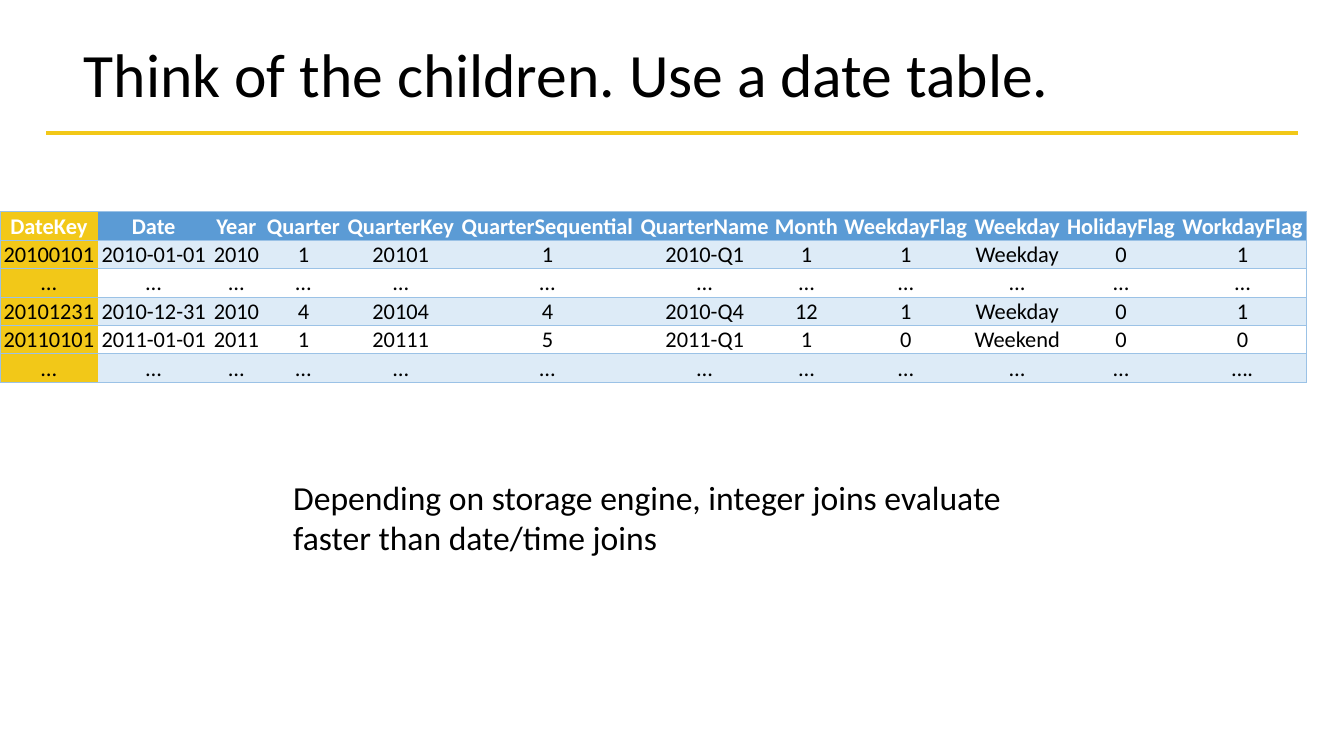
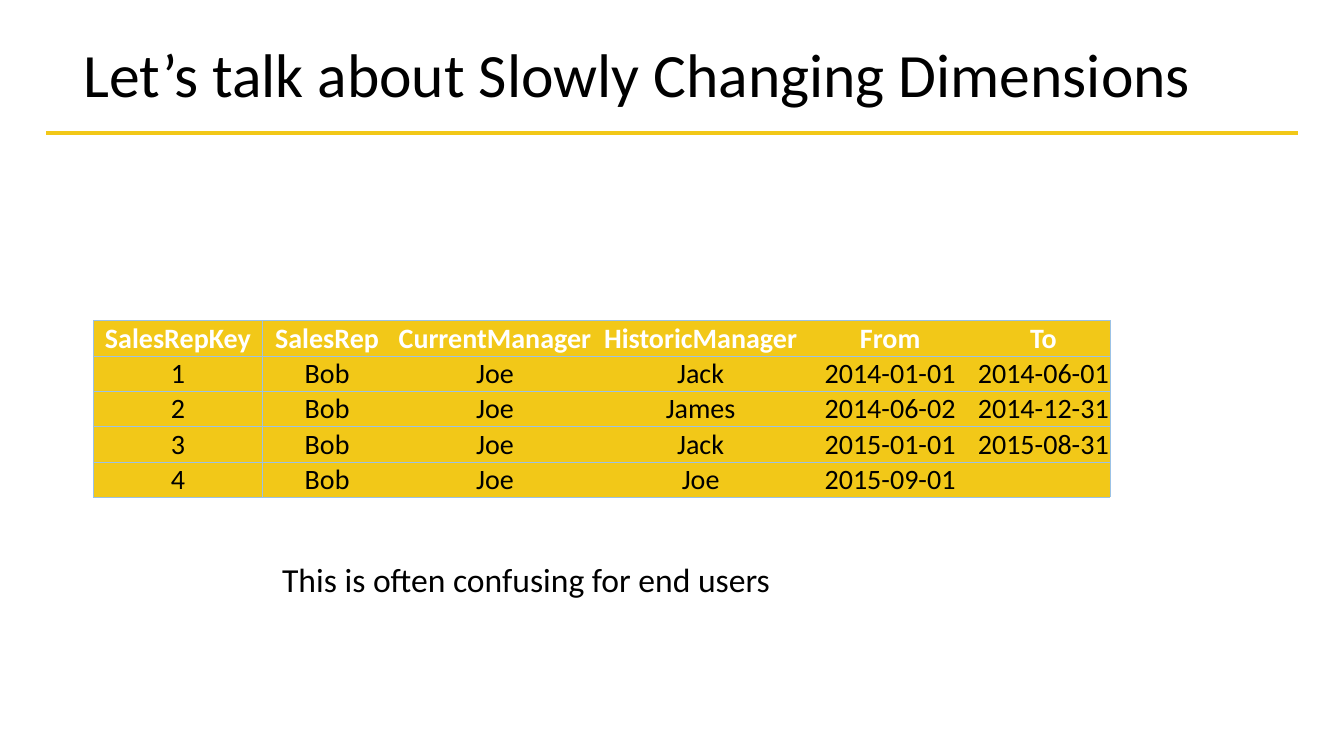
from dataclasses import dataclass

from lxml import etree
from pptx import Presentation
from pptx import util as u
from pptx.dml.color import RGBColor
from pptx.enum import shapes, text
from pptx.oxml import ns


@dataclass(frozen=True)
class Theme:
    font: str = "Calibri"
    ink: str = "000000"
    paper: str = "FFFFFF"
    gold: str = "F2C818"
    blue: str = "5B9BD5"
    pale: str = "DDEBF7"
    border: str = "9BC2E6"
    title_size: int = 44
    note_size: int = 24
    no_table_style: str = "{2D5ABB26-0587-4C30-8999-92F81FD0307C}"


class DeckBuilder:
    """Holds the theme and the current slide, and adds each kind of element."""

    def __init__(self, theme):
        self.theme = theme
        self.deck = Presentation()
        self.deck.slide_width = u.Inches(13.33)
        self.deck.slide_height = u.Inches(7.5)
        self.layout = self.deck.slide_layouts.get_by_name("Title Only")
        self.slide = None

    def format_font(self, font, size, color, bold=False):
        font.name = self.theme.font
        font.size = u.Pt(size)
        font.bold = bold
        font.color.rgb = RGBColor.from_string(color)

    def add_slide(self, title):
        self.slide = self.deck.slides.add_slide(self.layout)
        self.add_rule()
        box = self.slide.shapes.title
        box.left, box.top = u.Inches(0.73), u.Inches(0.22)
        box.width, box.height = u.Inches(11.89), u.Inches(1.1)
        frame = box.text_frame
        frame.text = title
        frame.vertical_anchor = text.MSO_ANCHOR.MIDDLE
        frame.auto_size = text.MSO_AUTO_SIZE.NONE
        para = frame.paragraphs[0]
        para.alignment = text.PP_ALIGN.LEFT
        para.line_spacing = 0.9
        self.format_font(para.runs[0].font, self.theme.title_size, self.theme.ink)

    def add_rule(self):
        rule = self.slide.shapes.add_connector(
            shapes.MSO_CONNECTOR.STRAIGHT,
            u.Inches(0.46), u.Inches(1.32), u.Inches(12.87), u.Inches(1.32))
        rule.line.color.rgb = RGBColor.from_string(self.theme.gold)
        rule.line.width = u.Pt(2.25)
        etree.SubElement(rule.element.spPr, ns.qn("a:effectLst"))

    def add_note(self, words, left, top, height):
        box = self.slide.shapes.add_textbox(
            u.Inches(left), u.Inches(top), u.Inches(7.7), u.Inches(height))
        box.text_frame.word_wrap = True
        box.text_frame.text = words
        span = box.text_frame.paragraphs[0].runs[0]
        self.format_font(span.font, self.theme.note_size, self.theme.ink)

    def add_borders(self, cell, sides):
        properties = cell._tc.get_or_add_tcPr()
        for side in "LRTB":
            line = etree.SubElement(properties, ns.qn(f"a:ln{side}"), w=str(u.Pt(0.5)))
            if side in sides:
                fill = etree.SubElement(line, ns.qn("a:solidFill"))
                etree.SubElement(fill, ns.qn("a:srgbClr"), val=self.theme.border)
            else:
                etree.SubElement(line, ns.qn("a:noFill"))

    def add_table(self, rows, widths, left, top, row_height, size, fill_rule, key_divider=False):
        frame = self.slide.shapes.add_table(
            len(rows), len(widths), u.Inches(left), u.Inches(top),
            u.Inches(sum(widths)), u.Inches(row_height * len(rows)))
        next(frame.element.iter(ns.qn("a:tableStyleId"))).text = self.theme.no_table_style
        table = frame.table
        table.horz_banding = False
        for column, width in zip(table.columns, widths):
            column.width = u.Inches(width)
        last = len(widths) - 1
        for r, values in enumerate(rows):
            table.rows[r].height = u.Inches(row_height)
            for c, value in enumerate(values):
                sides = "TB"
                if c == 0 or (key_divider and c == 1):
                    sides += "L"
                if c == last or (key_divider and c == 0):
                    sides += "R"
                cell = table.cell(r, c)
                self.add_borders(cell, sides)
                self.fill_cell(cell, value, size, fill_rule(r, c), header=r == 0)

    def fill_cell(self, cell, value, size, color, header):
        cell.fill.solid()
        cell.fill.fore_color.rgb = RGBColor.from_string(color)
        cell.margin_left = cell.margin_right = cell.margin_top = u.Inches(0.01)
        cell.margin_bottom = 0
        cell.vertical_anchor = text.MSO_ANCHOR.BOTTOM
        cell.text_frame.text = value
        para = cell.text_frame.paragraphs[0]
        para.alignment = text.PP_ALIGN.CENTER
        ink = self.theme.paper if header else self.theme.ink
        for font in [span.font for span in para.runs] or [para.font]:
            self.format_font(font, size, ink, bold=header)


DATE_ROWS = [
    ["DateKey", "Date", "Year", "Quarter", "QuarterKey", "QuarterSequential",
     "QuarterName", "Month", "WeekdayFlag", "Weekday", "HolidayFlag", "WorkdayFlag"],
    ["20100101", "2010-01-01", "2010", "1", "20101", "1",
     "2010-Q1", "1", "1", "Weekday", "0", "1"],
    ["…"] * 12,
    ["20101231", "2010-12-31", "2010", "4", "20104", "4",
     "2010-Q4", "12", "1", "Weekday", "0", "1"],
    ["20110101", "2011-01-01", "2011", "1", "20111", "5",
     "2011-Q1", "1", "0", "Weekend", "0", "0"],
    ["…"] * 11 + ["…."],
]
DATE_WIDTHS = [0.97, 1.11, 0.53, 0.8, 1.13, 1.78, 1.34, 0.68, 1.29, 0.92, 1.14, 1.27]

MANAGER_ROWS = [
    ["SalesRepKey", "SalesRep", "CurrentManager", "HistoricManager", "From", "To"],
    ["1", "Bob", "Joe", "Jack", "2014-01-01", "2014-06-01"],
    ["2", "Bob", "Joe", "James", "2014-06-02", "2014-12-31"],
    ["3", "Bob", "Joe", "Jack", "2015-01-01", "2015-08-31"],
    ["4", "Bob", "Joe", "Joe", "2015-09-01", ""],
]
MANAGER_WIDTHS = [1.67, 1.29, 2.04, 2.04, 1.72, 1.32]


def main():
    theme = Theme()
    builder = DeckBuilder(theme)

    def banded_fill(row, column):
        if column == 0:
            return theme.gold
        if row == 0:
            return theme.blue
        return theme.pale if row % 2 else theme.paper

    builder.add_slide("Think of the children. Use a date table.")
    builder.add_table(DATE_ROWS, DATE_WIDTHS, left=0, top=2.1, row_height=0.27,
                      size=16, fill_rule=banded_fill)
    builder.add_note("Depending on storage engine, integer joins evaluate "
                     "faster than date/time joins", left=2.81, top=4.68, height=0.91)

    builder.add_slide("Let’s talk about Slowly Changing Dimensions")
    builder.add_table(MANAGER_ROWS, MANAGER_WIDTHS, left=0.93, top=3.18, row_height=0.34,
                      size=20, fill_rule=lambda row, column: theme.gold, key_divider=True)
    builder.add_note("This is often confusing for end users", left=2.7, top=5.5, height=0.5)

    builder.deck.save("out.pptx")


if __name__ == "__main__":
    main()
